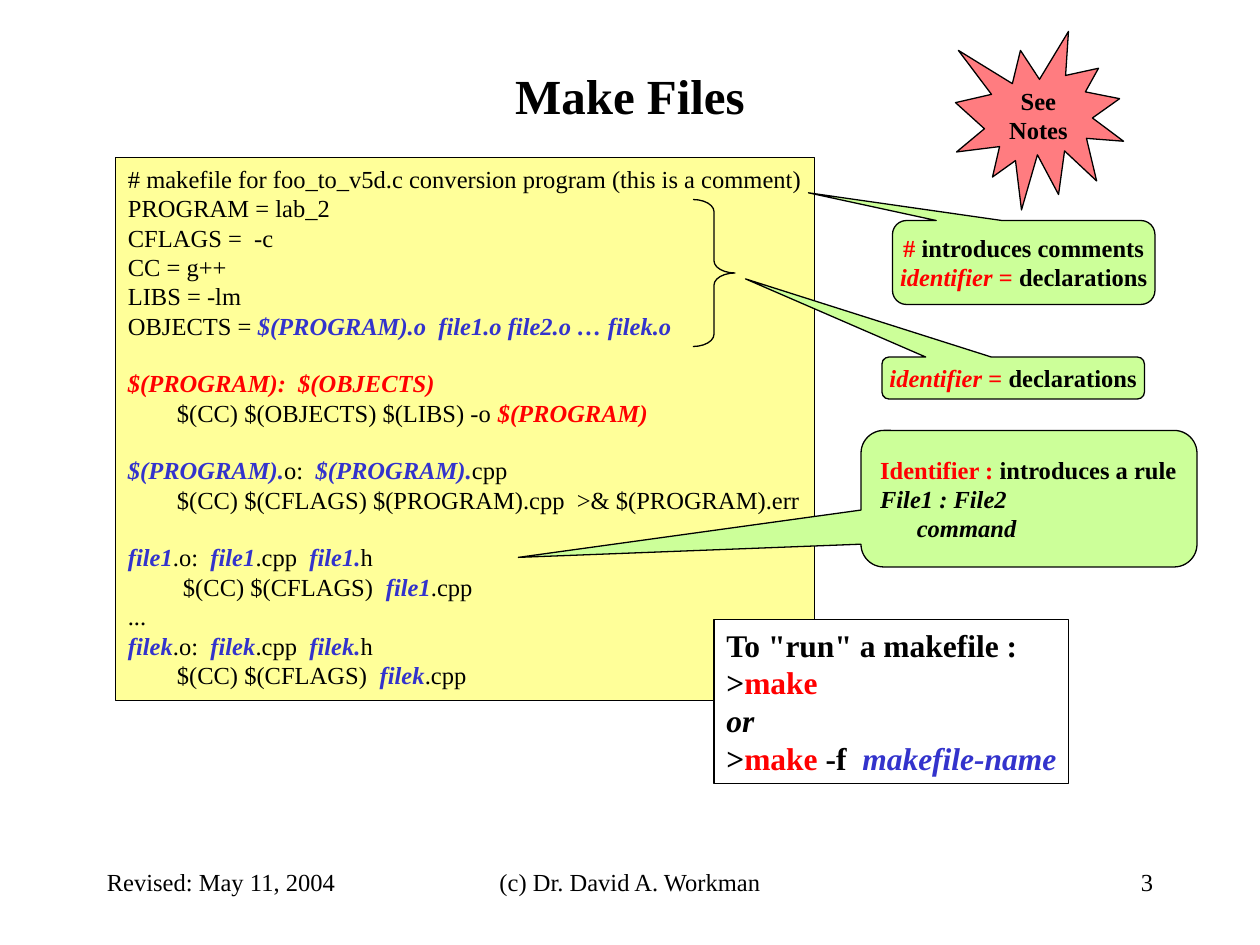
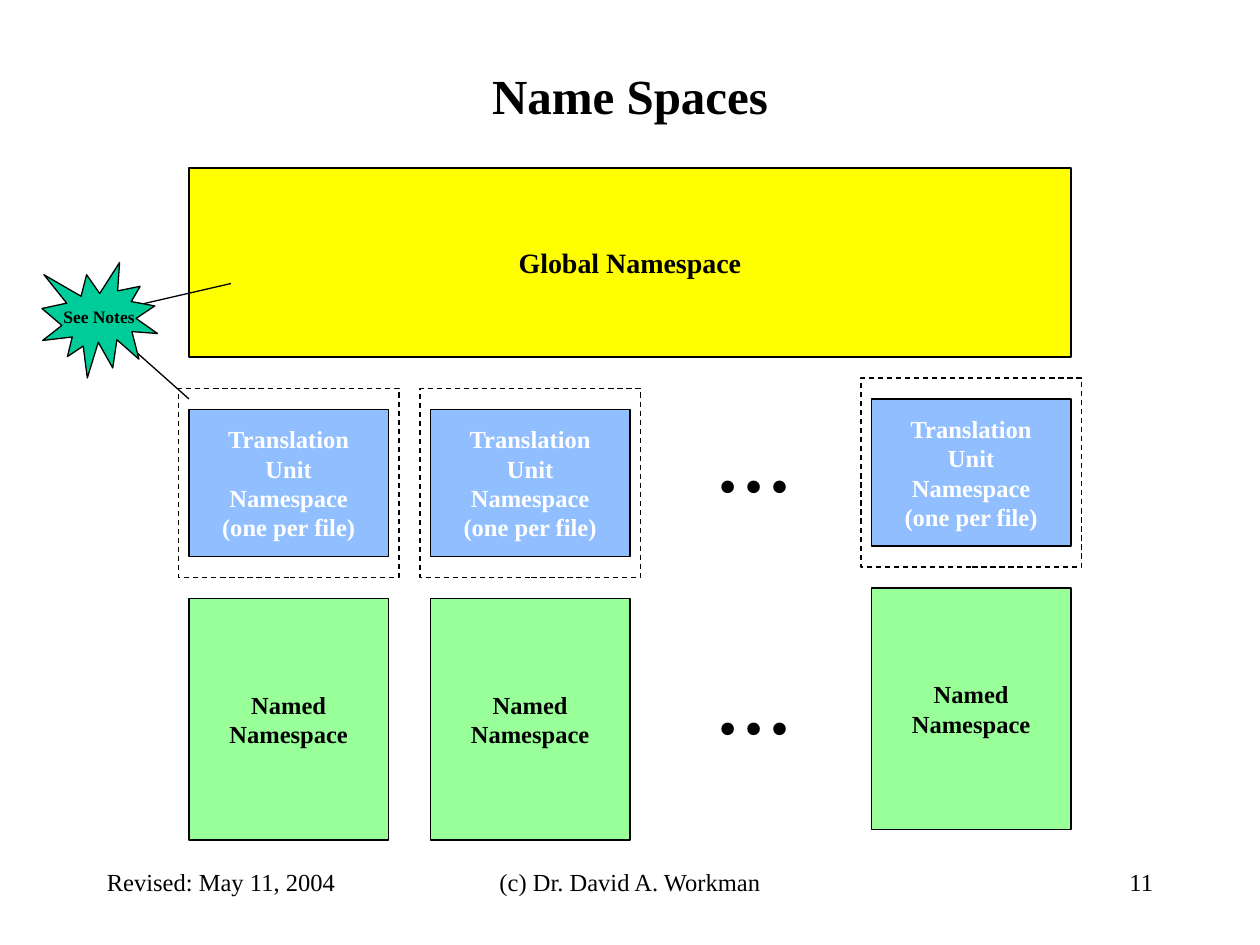
from itertools import accumulate, chain
from typing import NamedTuple, Optional, Sequence, Union

import pptx
import pptx.dml.color
import pptx.enum.dml
import pptx.enum.shapes
import pptx.enum.text
import pptx.oxml
import pptx.oxml.ns
import pptx.util

SHAPE = pptx.enum.shapes.MSO_SHAPE
ALIGN = pptx.enum.text.PP_ALIGN
ANCHOR = pptx.enum.text.MSO_ANCHOR

FONT = "Times New Roman"
COLORS = {
    "black": "000000", "white": "FFFFFF", "red": "FF0000", "blue": "3333CC",
    "paper": "FFFF99", "callout": "CCFF99", "coral": "FF7C80", "teal": "00CC99",
    "global": "FFFF00", "unit": "91BEFF", "named": "99FF99",
}
LINE_WIDTH = 0.75
CODE_SIZE = 14
CODE_GAP = 16.1  # height of one skipped line of code

# The slide is a grid of 120 columns by 90 rows
WIDTH, HEIGHT = pptx.util.Inches(10), pptx.util.Inches(7.5)
COLUMNS, ROWS = 120, 90


class Box(NamedTuple):
    col: float
    row: float
    cols: float
    rows: float


class Run(NamedTuple):
    text: str
    color: Optional[str] = None
    bold: Optional[bool] = None
    italic: bool = False


class Callout(NamedTuple):
    box: Box
    tip: tuple[float, float]
    lines: list
    align: ALIGN = ALIGN.CENTER


Line = Sequence[Union[str, Run]]


def ident(text: str) -> Run:
    return Run(text, "blue", True, True)


def target(text: str) -> Run:
    return Run(text, "red", True, True)


def red(text: str) -> Run:
    return Run(text, "red")


def x(col: float) -> int:
    return round(WIDTH * col / COLUMNS)


def y(row: float) -> int:
    return round(HEIGHT * row / ROWS)


def place(box: Box) -> tuple[int, int, int, int]:
    return x(box.col), y(box.row), x(box.cols), y(box.rows)


def rgb(name: str) -> pptx.dml.color.RGBColor:
    return pptx.dml.color.RGBColor.from_string(COLORS[name])


# Text
def write(sp, lines: Sequence[Line], *, size: float = 14, color: str = "black",
          bold: bool = False, align=ALIGN.LEFT, anchor=ANCHOR.TOP,
          wrap: bool = False, gaps: Sequence[int] = ()) -> None:
    """Fill a shape with lines of runs; lines numbered in gaps get space before."""
    tf = sp.text_frame
    tf.word_wrap = wrap
    tf.vertical_anchor = anchor
    for i, line in enumerate(lines):
        p = tf.paragraphs[0] if i == 0 else tf.add_paragraph()
        p.alignment = align
        if i in gaps:
            p.space_before = pptx.util.Pt(CODE_GAP)
        for part in line:
            run = Run(part) if isinstance(part, str) else part
            r = p.add_run()
            r.text = run.text
            r.font.name = FONT
            r.font.size = pptx.util.Pt(size)
            r.font.bold = bold if run.bold is None else run.bold
            r.font.italic = run.italic
            r.font.color.rgb = rgb(run.color or color)


def add_text(s, box: Box, text: str, **fmt):
    sp = s.shapes.add_textbox(*place(box))
    write(sp, [[text]], **fmt)
    return sp


# Shapes
def add_outline(s, kind, box: Box, fill: Optional[str] = None, dashed: bool = False):
    sp = s.shapes.add_shape(kind, *place(box))
    sp.shadow.inherit = False
    if fill:
        sp.fill.solid()
        sp.fill.fore_color.rgb = rgb(fill)
    else:
        sp.fill.background()
    sp.line.color.rgb = rgb("black")
    sp.line.width = pptx.util.Pt(LINE_WIDTH)
    if dashed:
        sp.line.dash_style = pptx.enum.dml.MSO_LINE.DASH
    return sp


def add_label(s, kind, box: Box, fill: str, text: str, **fmt) -> None:
    sp = add_outline(s, kind, box, fill)
    write(sp, [[line] for line in text.split("\n")], bold=True,
          align=ALIGN.CENTER, anchor=ANCHOR.MIDDLE, **fmt)


def add_line(s, start: tuple[float, float], end: tuple[float, float]) -> None:
    cxn = s.shapes.add_connector(pptx.enum.shapes.MSO_CONNECTOR.STRAIGHT,
                                 x(start[0]), y(start[1]), x(end[0]), y(end[1]))
    cxn.line.color.rgb = rgb("black")
    cxn.line.width = pptx.util.Pt(LINE_WIDTH)
    sp_pr = cxn._element.spPr
    sp_pr.append(sp_pr.makeelement(pptx.oxml.ns.qn("a:effectLst"), {}))


def add_callout(s, callout: Callout) -> None:
    sp = add_outline(s, SHAPE.ROUNDED_RECTANGULAR_CALLOUT, callout.box, "callout")
    sp.adjustments[0], sp.adjustments[1] = callout.tip
    write(sp, callout.lines, bold=True, align=callout.align, anchor=ANCHOR.MIDDLE)


# Title and footers common to the slides
def new_slide(prs, title: str, number: int):
    s = prs.slides.add_slide(prs.slide_layouts[6])
    add_text(s, Box(9, 5, 102, 8), title, size=28, bold=True,
             align=ALIGN.CENTER, anchor=ANCHOR.MIDDLE, wrap=True)
    for col, cols, text, align in (
        (9, 25, "Revised: May 11, 2004", ALIGN.LEFT),
        (41, 38, "(c) Dr. David A. Workman", ALIGN.CENTER),
        (86, 25, str(number), ALIGN.RIGHT),
    ):
        add_text(s, Box(col, 82, cols, 6), text, align=align, wrap=True)
    return s


MAKEFILE = [
    [
        ["# makefile for foo_to_v5d.c conversion program (this is a comment)"],
        ["PROGRAM = lab_2"],
        ["CFLAGS =  -c"],
        ["CC = g++"],
        ["LIBS = -lm"],
        ["OBJECTS = ", ident("$(PROGRAM).o  file1.o file2.o … filek.o")],
    ],
    [
        [target("$(PROGRAM):  $(OBJECTS)")],
        ["        $(CC) $(OBJECTS) $(LIBS) -o ", target("$(PROGRAM)")],
    ],
    [
        [ident("$(PROGRAM)."), "o:  ", ident("$(PROGRAM)."), "cpp"],
        ["        $(CC) $(CFLAGS) $(PROGRAM).cpp  >& $(PROGRAM).err"],
    ],
    [
        [ident("file1"), ".o:  ", ident("file1"), ".cpp  ", ident("file1."), "h"],
        ["         $(CC) $(CFLAGS)  ", ident("file1"), ".cpp"],
        ["..."],
        [ident("filek"), ".o:  ", ident("filek"), ".cpp  ", ident("filek."), "h"],
        ["        $(CC) $(CFLAGS)  ", ident("filek"), ".cpp"],
    ],
]

DECLARATION = [target("identifier ="), " declarations"]
CALLOUTS = [
    Callout(Box(85, 21, 25, 8), (-0.82, -0.83),
            [[red("#"), " introduces comments"], DECLARATION]),
    Callout(Box(82, 41, 32, 13), (-1.52, 0.43),
            [[red("Identifier :"), " introduces a rule"],
             [Run("File1 : File2", italic=True)],
             [Run("      command", italic=True)]], ALIGN.LEFT),
    Callout(Box(84, 34, 25, 4), (-1.02, -2.36), [DECLARATION]),
]

RUN_COMMANDS = [
    ['To "run" a makefile :'],
    [">", red("make")],
    [Run("or", italic=True)],
    [">", red("make"), " -f ", ident(" makefile-name")],
]


def make_files_slide(prs) -> None:
    s = new_slide(prs, "Make Files", 3)

    # Makefile listing and the brace around its declarations
    listing = add_outline(s, SHAPE.RECTANGLE, Box(11, 15, 66.6, 51.7), "paper")
    gaps = list(accumulate(len(block) for block in MAKEFILE))[:-1]
    write(listing, list(chain.from_iterable(MAKEFILE)), size=CODE_SIZE, gaps=gaps)
    # Remarks
    for callout in CALLOUTS:
        add_callout(s, callout)
    add_label(s, SHAPE.EXPLOSION1, Box(91, 3, 16, 17), "coral", "See\nNotes")

    # How to run it
    commands = add_outline(s, SHAPE.RECTANGLE, Box(68, 59, 33.8, 15.6), "white")
    write(commands, RUN_COMMANDS, size=18, bold=True)

    brace = add_outline(s, SHAPE.RIGHT_BRACE, Box(66, 19, 4, 14))
    brace.adjustments[0] = 0.29


def name_spaces_slide(prs) -> None:
    s = new_slide(prs, "Name Spaces", 11)
    add_label(s, SHAPE.RECTANGLE, Box(18, 16, 84, 18), "global",
              "Global Namespace", size=16)

    # One column per file; the last stands a row higher
    for col, lift in ((18, 0), (41, 0), (83, 1)):
        add_label(s, SHAPE.RECTANGLE, Box(col, 57 - lift, 19, 23), "named",
                  "Named\nNamespace")
        add_label(s, SHAPE.RECTANGLE, Box(col, 39 - lift, 19, 14), "unit",
                  "Translation\nUnit\nNamespace\n(one per file)", color="white")
        add_outline(s, SHAPE.RECTANGLE, Box(col - 1, 37 - lift, 21, 18), dashed=True)
    for row in (39, 62):
        add_text(s, Box(67, row, 9.7, 10), "…", size=44, bold=True)

    # Note with its pointers
    for end in ((18, 38), (22, 27)):
        add_line(s, (9, 30), end)
    add_label(s, SHAPE.EXPLOSION1, Box(4, 25, 11, 11), "teal", "See Notes", size=10)


def main() -> None:
    prs = pptx.Presentation()
    prs.slide_width, prs.slide_height = WIDTH, HEIGHT
    make_files_slide(prs)
    name_spaces_slide(prs)
    prs.save("out.pptx")


if __name__ == "__main__":
    main()
